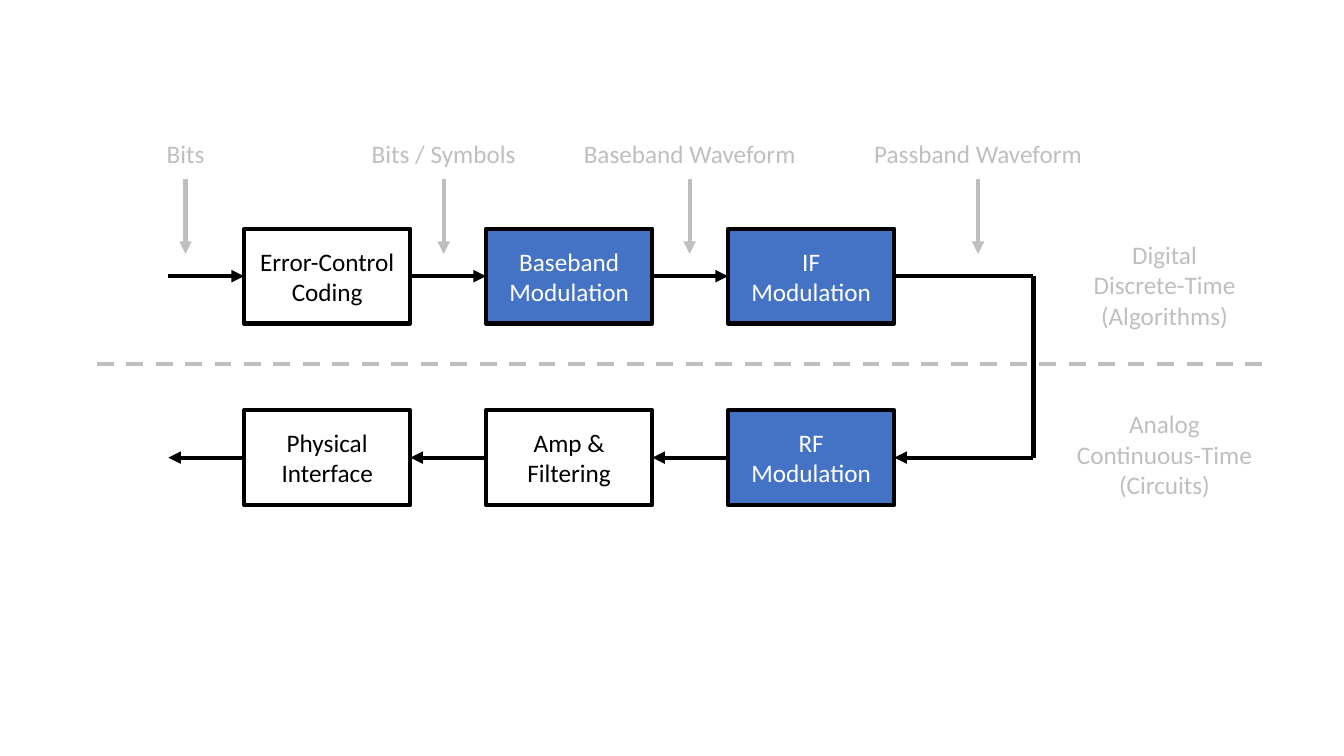
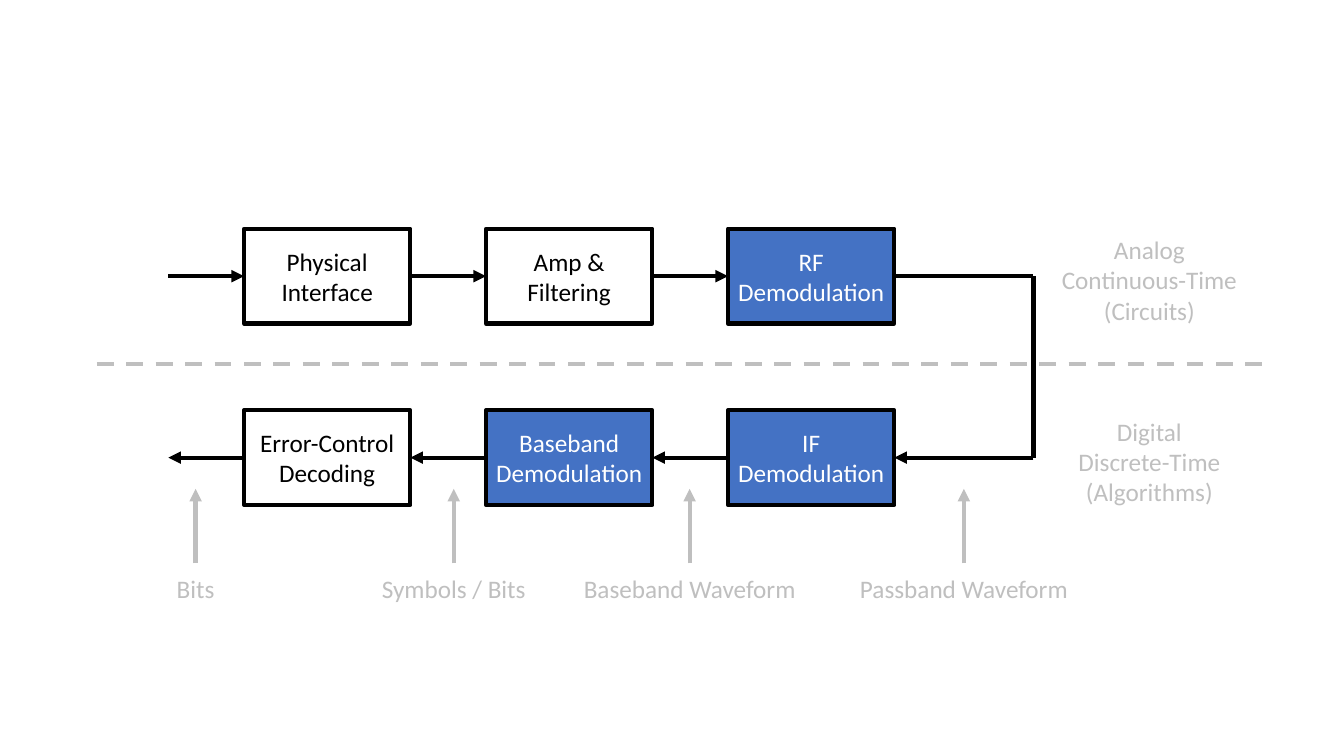
from lxml import etree
from pptx import Presentation
from pptx.dml.color import RGBColor
from pptx.enum.dml import MSO_LINE
from pptx.enum.shapes import MSO_CONNECTOR, MSO_SHAPE
from pptx.enum.text import MSO_ANCHOR, PP_ALIGN
from pptx.oxml.ns import qn
from pptx.util import Inches, Pt

RECT = MSO_SHAPE.RECTANGLE
STRAIGHT = MSO_CONNECTOR.STRAIGHT
DASH = MSO_LINE.DASH
MIDDLE = MSO_ANCHOR.MIDDLE
CENTER = PP_ALIGN.CENTER
LEFT_SIDE, RIGHT_SIDE = 1, 3

BLACK, WHITE, GRAY, BLUE = "000000", "FFFFFF", "BFBFBF", "4472C4"
FONT, FONT_SIZE, LINE_WIDTH = "Calibri", 18, 3

BOX_W, BOX_H = 1.65, 0.94
COLUMNS = [2.42 + 2.4 * i for i in range(3)]
TOP_ROW, BOTTOM_ROW = 2.27, 4.07
OUTER_X, TURN_X = 1.67, 10.25
DIVIDER_Y = 3.61
LABEL_W, LABEL_H = 2.32, 0.4
NOTE_W, NOTE_H = 1.96, 1.01

DIGITAL = "Digital\nDiscrete-Time\n(Algorithms)"
ANALOG = "Analog\nContinuous-Time\n(Circuits)"


def rgb(color):
    return RGBColor.from_string(color)


class Diagram:
    """Holds the shared style and the current slide."""

    def __init__(self, prs):
        self.prs = prs
        self.slide = None

    def new_slide(self):
        self.slide = self.prs.slides.add_slide(self.prs.slide_layouts[6])

    def set_text(self, sp, text, color):
        tf = sp.text_frame
        tf.word_wrap = True
        tf.vertical_anchor = MIDDLE
        tf.margin_left = tf.margin_right = tf.margin_top = tf.margin_bottom = 0
        p = tf.paragraphs[0]
        p.text = text
        p.alignment = CENTER
        p.font.name = FONT
        p.font.size = Pt(FONT_SIZE)
        p.font.color.rgb = rgb(color)

    def text(self, text, x, y, w, h):
        sp = self.slide.shapes.add_textbox(Inches(x), Inches(y), Inches(w), Inches(h))
        self.set_text(sp, text, GRAY)

    def box(self, text, x, y, filled):
        sp = self.slide.shapes.add_shape(
            RECT, Inches(x), Inches(y), Inches(BOX_W), Inches(BOX_H))
        sp.shadow.inherit = False
        if filled:
            sp.fill.solid()
            sp.fill.fore_color.rgb = rgb(BLUE)
        else:
            sp.fill.background()
        sp.line.color.rgb = rgb(BLACK)
        sp.line.width = Pt(LINE_WIDTH)
        self.set_text(sp, text, WHITE if filled else BLACK)
        return sp

    def line(self, start, end, color=BLACK, arrow=True, dash=None,
             begin=None, finish=None):
        """Draw from start to end; begin and finish are (shape, side) to join."""
        cx = self.slide.shapes.add_connector(
            STRAIGHT, *(Inches(v) for v in (*start, *end)))
        cx.line.color.rgb = rgb(color)
        cx.line.width = Pt(LINE_WIDTH)
        if dash:
            cx.line.dash_style = dash
        props = cx.element.spPr
        if arrow:
            etree.SubElement(props.find(qn("a:ln")), qn("a:tailEnd"), type="triangle")
        etree.SubElement(props, qn("a:effectLst"))
        if begin:
            cx.begin_connect(*begin)
        if finish:
            cx.end_connect(*finish)

    def row(self, blocks, top, rightward):
        """Draw a row of boxes and the lines joining them and both outer ends."""
        y = top + BOX_H / 2
        boxes = [self.box(text, x, top, filled)
                 for x, (text, filled) in zip(COLUMNS, blocks)]
        gaps = zip([OUTER_X] + [x + BOX_W for x in COLUMNS], COLUMNS + [TURN_X],
                   [None] + boxes, boxes + [None])
        for x1, x2, before, after in gaps:
            left = ((x1, y), before and (before, RIGHT_SIDE))
            right = ((x2, y), after and (after, LEFT_SIDE))
            (start, begin), (end, finish) = (left, right) if rightward else (right, left)
            has_arrow = after is not None or not rightward
            self.line(start, end, arrow=has_arrow, begin=begin, finish=finish)

    def chain(self, top_blocks, bottom_blocks):
        """Draw the top row, the turn on the right and the row back."""
        self.row(top_blocks, TOP_ROW, True)
        self.row(bottom_blocks, BOTTOM_ROW, False)
        self.line((TURN_X, TOP_ROW + BOX_H / 2), (TURN_X, BOTTOM_ROW + BOX_H / 2),
                  arrow=False)
        self.line((0.96, DIVIDER_Y), (12.53, DIVIDER_Y), GRAY, arrow=False, dash=DASH)

    def signals(self, labels, label_y, arrow_from, arrow_to):
        for text, x in labels:
            self.text(text, x - LABEL_W / 2, label_y, LABEL_W, LABEL_H)
            self.line((x, arrow_from), (x, arrow_to), GRAY)

    def notes(self, x, *notes):
        for text, y in notes:
            self.text(text, x, y, NOTE_W, NOTE_H)


def transmitter(d):
    d.new_slide()
    d.chain(
        [("Error-Control\nCoding", False), ("Baseband\nModulation", True),
         ("IF\nModulation", True)],
        [("Physical\nInterface", False), ("Amp &\nFiltering", False),
         ("RF\nModulation", True)])
    d.notes(10.57, (DIGITAL, 2.32), (ANALOG, 4))
    d.signals([("Bits", 1.84), ("Bits / Symbols", 4.4),
               ("Baseband Waveform", 6.84), ("Passband Waveform", 9.7)],
              1.32, 1.78, 2.52)


def receiver(d):
    d.new_slide()
    d.chain(
        [("Physical\nInterface", False), ("Amp &\nFiltering", False),
         ("RF\nDemodulation", True)],
        [("Error-Control\nDecoding", False), ("Baseband\nDemodulation", True),
         ("IF\nDemodulation", True)])
    d.notes(10.42, (ANALOG, 2.27), (DIGITAL, 4.07))
    d.signals([("Bits", 1.94), ("Symbols / Bits", 4.5),
               ("Baseband Waveform", 6.84), ("Passband Waveform", 9.56)],
              5.64, 5.59, 4.85)


def main():
    prs = Presentation()
    prs.slide_width, prs.slide_height = Inches(13.33), Inches(7.5)
    d = Diagram(prs)
    transmitter(d)
    receiver(d)
    prs.save("out.pptx")


if __name__ == "__main__":
    main()
